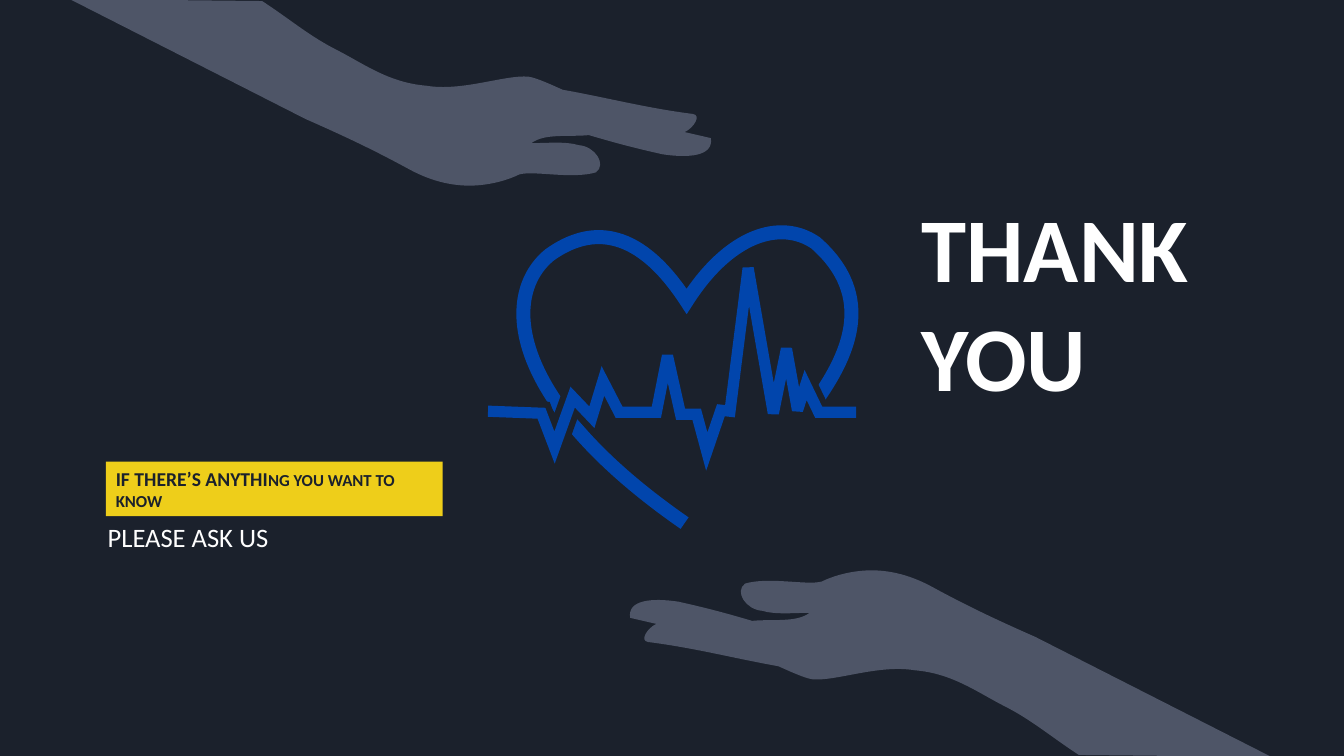
from pptx import Presentation
from pptx.dml.color import RGBColor as Rgb
from pptx.enum.shapes import MSO_SHAPE as Kind
from pptx.enum.text import MSO_ANCHOR as Anchor, MSO_AUTO_SIZE as Fit, PP_ALIGN as Align
from pptx.util import Inches, Pt
from lxml.etree import SubElement as Sub
from pptx.oxml.ns import qn

NIGHT = Rgb(0x1B, 0x21, 0x2C)
BLUE = Rgb(0x01, 0x45, 0xAC)
GOLD = Rgb(0xEE, 0xCE, 0x1A)
SLATE = Rgb(0x4E, 0x55, 0x67)
PALE = Rgb(0xFE, 0xFE, 0xFE)
WHITE = Rgb(0xFF, 0xFF, 0xFF)

# Square grid: 75 rows, 133.3 columns
WIDE, HIGH = Inches(13.33), Inches(7.5)
CELL = HIGH / 75
STEPS = 16

# Outlines in grid cells: a pair is a line, six numbers are a curve
HEART = [
    (67.9, 51.9),
    (50.6, 39.9, 49.5, 29.4, 54.5, 25.3),
    (58.8, 22.2, 63.5, 22.8, 68.1, 29.9),
    (72.3, 23.3, 77.4, 21.7, 80.9, 24.1),
    (86.9, 29.4, 84.3, 35.3, 80.4, 40.5),
]
PULSE = [
    (48.4, 40.8), (53.7, 41), (55, 44.4), (56.8, 39.4), (58.7, 41.4),
    (59.8, 37.8), (61.4, 40.9), (65.1, 40.9), (66.2, 35.3), (67.5, 41.1),
    (69.1, 41.1), (70.1, 44.8), (71.5, 40.7), (72.4, 40.8), (74.2, 26.6),
    (76.7, 41), (78, 34.6), (79.1, 40.7), (79.9, 38.2), (81.2, 40.9),
    (84.9, 40.9),
]
HAND = [
    (85.9, 56.6),
    (87.8, 56.5, 90, 56.9, 92.4, 58.2),
    (95.7, 60, 98.4, 61.3, 102.7, 63.2),
    (126.1, 75.1),
    (107, 74.9),
    (104.1, 73, 102.3, 71.4, 99.5, 70),
    (96.8, 68.6, 94.4, 66.8, 90.7, 66.5),
    (87.2, 65.9, 82.9, 67.6, 80.6, 67.4),
    (79.8, 67.3, 78.1, 66.5, 77.2, 66.1),
    (72.7, 65.3, 69, 64.3, 64.3, 63.7),
    (63.4, 63.6, 64.2, 62.3, 65.1, 61.9),
    (62.5, 61.3),
    (62.2, 59.5, 64.7, 59.3, 67.3, 59.7),
    (70, 60.3, 71.9, 60.8, 74.6, 61.6),
    (76.5, 61.4, 79, 61.8, 80.3, 60.8),
    (78.7, 60.8, 76.9, 61, 75.6, 60.6),
    (74, 60.5, 72.8, 58.7, 73.9, 57.9),
    (76.3, 57.2, 80, 58.1, 81.5, 57.7),
    (82.5, 57.2, 84.1, 56.7, 85.9, 56.6),
]


def trace(segs):
    """Sample lines and cubic curves, to learn how far they reach."""
    dots = [segs[0]]
    for seg in segs[1:]:
        if len(seg) == 2:
            dots.append(seg)
            continue
        ends = [dots[-1], seg[:2], seg[2:4], seg[4:]]
        for step in range(1, STEPS + 1):
            t = step / STEPS
            u = 1 - t
            mix = (u ** 3, 3 * u * u * t, 3 * u * t * t, t ** 3)
            dots.append(tuple(sum(m * p[i] for m, p in zip(mix, ends))
                              for i in (0, 1)))
    return dots


def write(shape, *runs, color, bold=False, anchor=Anchor.TOP):
    """Fill a shape with one paragraph of (text, size) runs."""
    frame = shape.text_frame
    frame.word_wrap = True
    frame.auto_size = Fit.NONE
    frame.vertical_anchor = anchor
    para = frame.paragraphs[0]
    para.alignment = Align.LEFT
    for text, size in runs:
        run = para.add_run()
        run.text = text
        font = run.font
        font.name, font.size, font.bold = "Calibri", Pt(size), bold
        font.color.rgb = color


class Board:
    def __init__(self, deck):
        self.slide = deck.slides.add_slide(deck.slide_layouts[5])
        self.shapes = self.slide.shapes
        fill = self.slide.background.fill
        fill.solid()
        fill.fore_color.rgb = NIGHT

    def box(self, *area):
        return [round(n * CELL) for n in area]

    def title(self, area, *runs, **form):
        head = self.shapes.title
        head.left, head.top, head.width, head.height = self.box(*area)
        write(head, *runs, **form)

    def text(self, area, *runs, **form):
        write(self.shapes.add_textbox(*self.box(*area)), *runs, **form)

    def label(self, area, *runs, fill, **form):
        rect = self.shapes.add_shape(Kind.RECTANGLE, *self.box(*area))
        self.paint(rect, fill)
        write(rect, *runs, **form)

    def paint(self, shape, fill):
        shape.shadow.inherit = False
        shape.fill.solid()
        shape.fill.fore_color.rgb = fill
        shape.line.fill.background()

    def draw(self, segs, close):
        first, *rest = [self.box(*dot) for dot in trace(segs)]
        pen = self.shapes.build_freeform(*first)
        pen.add_line_segments(rest, close=close)
        shape = pen.convert_to_shape()
        # Put true curves in the frame that the samples gave
        route = shape.element.find(".//" + qn("a:path"))
        for node in list(route):
            route.remove(node)
        for i, seg in enumerate(segs):
            tag = "cubicBezTo" if len(seg) == 6 else "lnTo" if i else "moveTo"
            node = Sub(route, qn("a:" + tag))
            flat = self.box(*seg)
            for x, y in zip(flat[::2], flat[1::2]):
                Sub(node, qn("a:pt"), x=str(x - shape.left), y=str(y - shape.top))
        if close:
            Sub(route, qn("a:close"))
        return shape

    def area(self, segs, fill, turn=False):
        shape = self.draw(segs, True)
        self.paint(shape, fill)
        if turn:  # half a turn about the middle of the slide
            wide, high = self.box(133, 75)
            shape.rotation = 180
            shape.left = wide - shape.left - shape.width
            shape.top = high - shape.top - shape.height

    def stroke(self, segs, color, width):
        shape = self.draw(segs, False)
        shape.shadow.inherit = False
        shape.fill.background()
        shape.line.color.rgb = color
        shape.line.width = Pt(width)
        # Sharp corners
        edge = shape.element.find(".//" + qn("a:ln"))
        Sub(edge, qn("a:miter"), lim="800000")


def main():
    deck = Presentation()
    deck.slide_width, deck.slide_height = WIDE, HIGH
    board = Board(deck)

    # Heart with a pulse line that cuts a gap in it
    board.stroke(HEART, BLUE, 10)
    for color, width in ((NIGHT, 16.75), (BLUE, 8)):
        board.stroke(PULSE, color, width)

    # Invitation to ask
    board.text((9.7, 51.2, 32.4, 4.2), ("PLEASE ASK US", 19), color=PALE)
    board.label((10.5, 45.8, 33.4, 5.4), ("IF THERE’S ANYTHI", 14),
                ("NG YOU WANT TO KNOW", 12), fill=GOLD, color=NIGHT,
                bold=True, anchor=Anchor.MIDDLE)

    # Hands below and above
    for turn in (False, True):
        board.area(HAND, SLATE, turn)

    # Closing words
    board.title((90.4, 18.4, 39, 22.9), ("THANK YOU", 65), color=WHITE,
                bold=True, anchor=Anchor.MIDDLE)
    deck.save("out.pptx")


if __name__ == "__main__":
    main()
